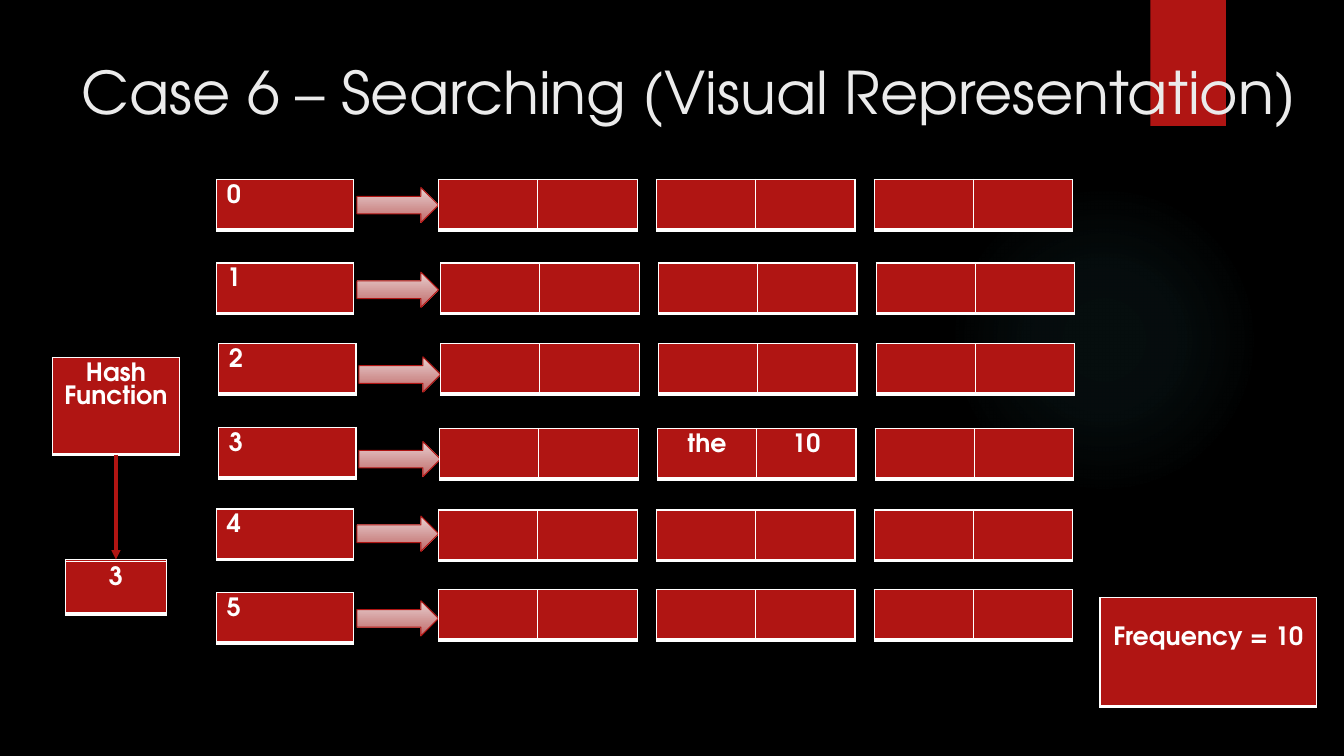
import pptx
import pptx.util
import pptx.oxml
import pptx.dml.color
import pptx.enum.shapes
import pptx.enum.text

Inches, Pt = pptx.util.Inches, pptx.util.Pt
RGB = pptx.dml.color.RGBColor
Kind = pptx.enum.shapes.MSO_SHAPE
Align = pptx.enum.text.PP_ALIGN

BLACK = RGB(0x00, 0x00, 0x00)
WHITE = RGB(0xFF, 0xFF, 0xFF)
PALE = RGB(0xEB, 0xEB, 0xEB)
RED = RGB(0xB0, 0x15, 0x13)
ROSE = RGB(0xE8, 0xD1, 0xD0)
DUSK = RGB(0xC0, 0x69, 0x69)
TEAL = RGB(0x50, 0xB9, 0xC1)
FONT = "TeX Gyre Adventor"
NS = 'xmlns:a="http://schemas.openxmlformats.org/drawingml/2006/main"'

deck = pptx.Presentation()
deck.slide_width, deck.slide_height = Inches(13.33), Inches(7.5)
slide = deck.slides.add_slide(deck.slide_layouts[5])
slide.background.fill.solid()
slide.background.fill.fore_color.rgb = BLACK
shapes = slide.shapes


def add_part(kind, x, y, w, h):
    """Add a preset shape without shadow, filled red."""
    part = shapes.add_shape(kind, Inches(x), Inches(y), Inches(w), Inches(h))
    part.shadow.inherit = False
    part.fill.solid()
    part.fill.fore_color.rgb = RED
    part.line.fill.background()
    return part


def add_box(x, y, w, h, texts, align=Align.CENTER):
    """Add a one-row red table with white borders, thick at the bottom."""
    frame = shapes.add_table(1, len(texts), Inches(x), Inches(y), Inches(w), Inches(h))
    table = frame.table
    table.first_row = table.horz_banding = False
    for cell, text in zip(table.iter_cells(), texts):
        props = cell._tc.get_or_add_tcPr()
        for side, width in (("L", 1), ("R", 1), ("T", 1), ("B", 3)):
            props.append(pptx.oxml.parse_xml(
                f'<a:ln{side} {NS} w="{Pt(width)}"><a:solidFill>'
                f'<a:srgbClr val="{WHITE}"/></a:solidFill></a:ln{side}>'))
        cell.fill.solid()
        cell.fill.fore_color.rgb = RED
        para = cell.text_frame.paragraphs[0]
        para.text = text
        para.alignment = align
        para.font.size = Pt(18)
        for run in para.runs:
            run.font.name, run.font.size = FONT, Pt(18)
            run.font.bold, run.font.color.rgb = True, WHITE
    return frame


# Backdrop: faint glow and red tab
glow = add_part(Kind.OVAL, 9.41, 1.83, 3.08, 3.08)
stops = "".join(
    f'<a:gs pos="{pos}000"><a:srgbClr val="{TEAL}"><a:alpha val="{alpha}000"/>'
    '</a:srgbClr></a:gs>' for pos, alpha in ((0, 7), (36, 6), (69, 0), (100, 0)))
solid = glow._element.spPr.find(pptx.oxml.ns.qn("a:solidFill"))
solid.getparent().replace(solid, pptx.oxml.parse_xml(
    f'<a:gradFill {NS}><a:gsLst>{stops}</a:gsLst><a:path path="circle">'
    '<a:fillToRect l="50000" t="50000" r="50000" b="50000"/></a:path></a:gradFill>'))
add_part(Kind.RECTANGLE, 11.41, 0, 0.75, 1.25)

# Title, in front of the tab
title = shapes.title
shapes._spTree.append(title._element)
title.left, title.top = Inches(0.71), Inches(0.5)
title.width, title.height = Inches(12.35), Inches(1.53)
title.text_frame.text = "Case 6 – Searching (Visual Representation)"
title.text_frame.vertical_anchor = pptx.enum.text.MSO_ANCHOR.TOP
head = title.text_frame.paragraphs[0]
head.alignment = Align.LEFT
font = head.runs[0].font
font.name, font.size, font.color.rgb = FONT, Pt(42), PALE

# Hash table: left of key, top of key, top of arrow, left and top of pairs
ROWS = (
    (2.15, 1.78, 1.86, 4.35, 1.78),
    (2.15, 2.61, 2.70, 4.37, 2.61),
    (2.17, 3.41, 3.54, 4.37, 3.41),
    (2.17, 4.24, 4.38, 4.36, 4.25),
    (2.15, 5.05, 5.12, 4.35, 5.06),
    (2.15, 5.88, 5.96, 4.35, 5.85),
)
STEP = 2.16
FOUND = (3, 1)
for row, (left, top, mid, start, level) in enumerate(ROWS):
    add_box(left, top, 1.36, 0.5, [str(row)], Align.LEFT)
    arrow = add_part(Kind.RIGHT_ARROW, left + 1.39, mid, 0.81, 0.35)
    arrow.fill.gradient()
    arrow.fill.gradient_angle = 270
    for stop, shade in zip(arrow.fill.gradient_stops, (ROSE, DUSK)):
        stop.color.rgb = shade
    arrow.line.color.rgb, arrow.line.width = RED, Pt(0.75)
    for col in range(3):
        pair = ["the", "10"] if (row, col) == FOUND else ["", ""]
        add_box(start + col * STEP, level, 1.97, 0.5, pair)

# Hash function and its result
func = add_box(0.52, 3.55, 1.26, 0.96, ["Hash Function"])
slot = add_box(0.65, 5.55, 1, 0.52, [""])
link = shapes.add_connector(pptx.enum.shapes.MSO_CONNECTOR.STRAIGHT, 0, 0, 0, 0)
link.begin_connect(func, 2)
link.end_connect(slot, 0)
link.line.color.rgb, link.line.width = RED, Pt(2.25)
link.line._get_or_add_ln().append(pptx.oxml.parse_xml(f'<a:tailEnd {NS} type="triangle"/>'))
link._element.spPr.append(pptx.oxml.parse_xml(f"<a:effectLst {NS}/>"))
add_box(0.65, 5.57, 1, 0.52, ["3"])

# Answer
answer = add_box(10.91, 5.93, 2.15, 1.08, ["Frequency = 10"])
answer.table.cell(0, 0).margin_top = Inches(0.29)

deck.save("out.pptx")
